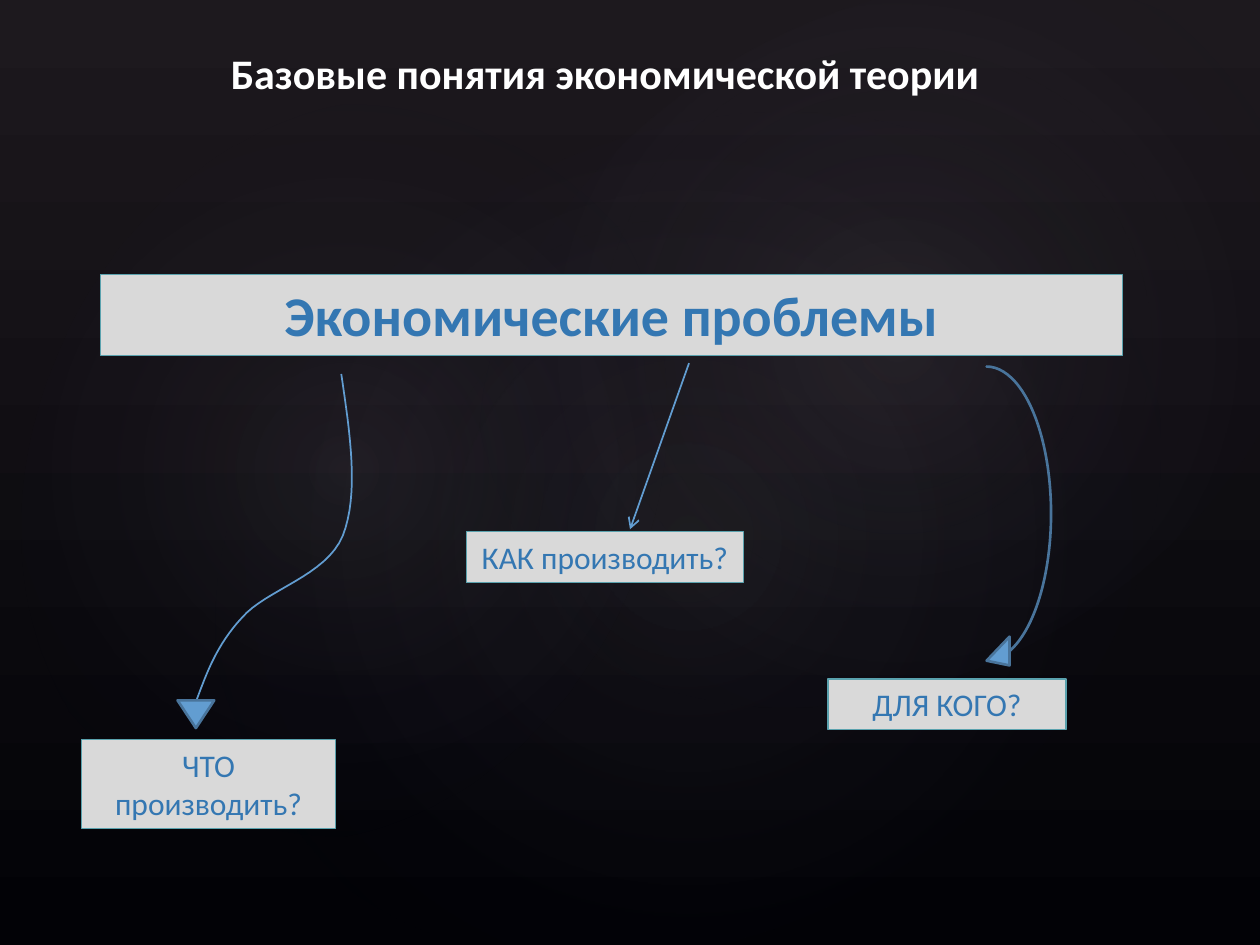
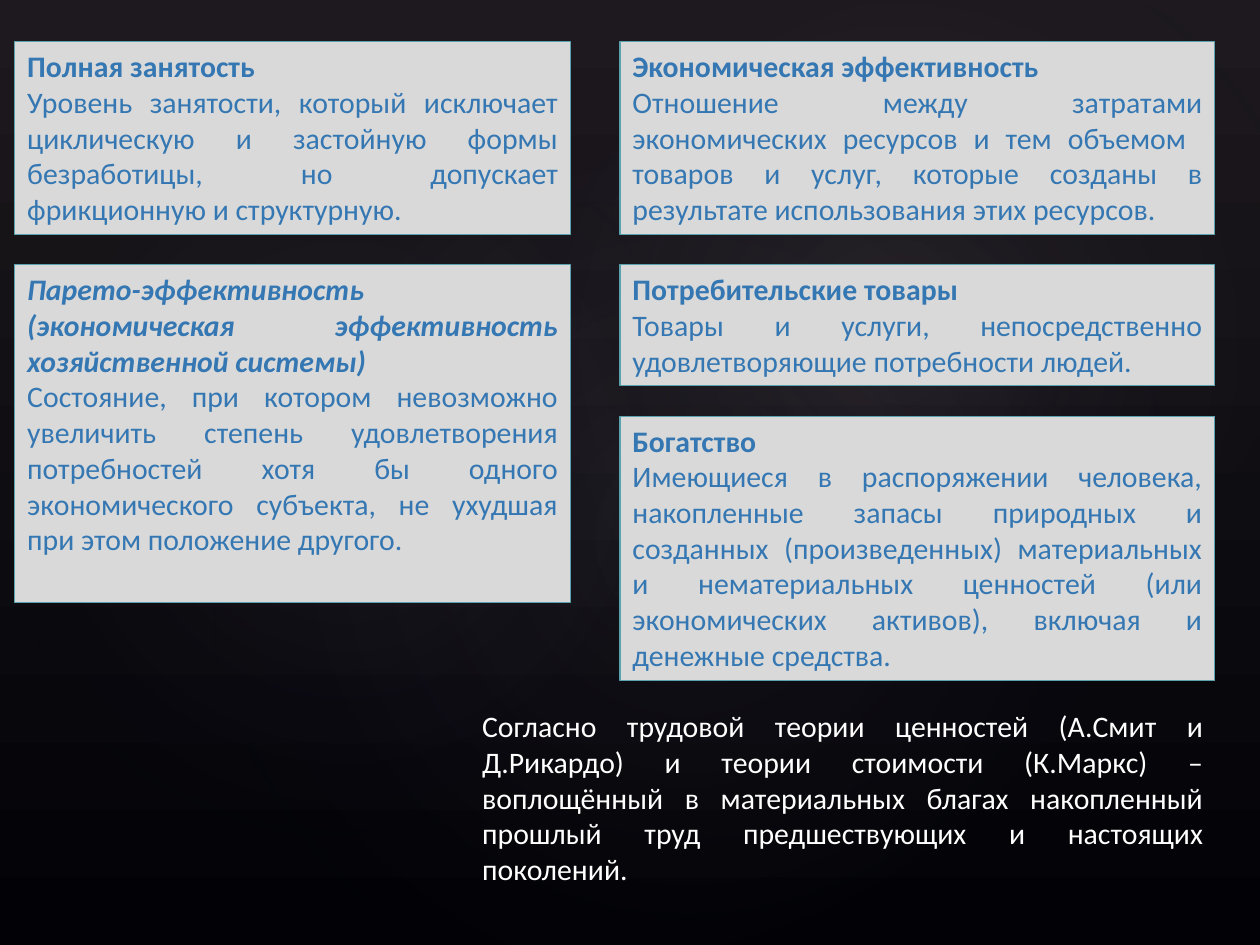
"""Build two dark slides on the basic terms of economic theory."""
from lxml.etree import SubElement
from pptx import Presentation
from pptx.dml.color import RGBColor
from pptx.enum.shapes import MSO_CONNECTOR as LINK, MSO_SHAPE as KIND
from pptx.enum.text import MSO_ANCHOR as ANCHOR, PP_ALIGN as ALIGN
from pptx.oxml import parse_xml
from pptx.oxml.ns import nsdecls, qn
from pptx.util import Cm, Pt

FONT = "Calibri"
WHITE = RGBColor(0xFF, 0xFF, 0xFF)
GREY = RGBColor(0xD9, 0xD9, 0xD9)
TEAL = RGBColor(0x5A, 0xA2, 0xAE)
INK = RGBColor(0x34, 0x77, 0xB2)
BLUE = RGBColor(0x62, 0x9D, 0xD1)
STEEL = RGBColor(0x49, 0x74, 0x9B)
DUSK = RGBColor(0x1D, 0x19, 0x1E)
NIGHT = RGBColor(0x02, 0x02, 0x06)


def add_form(slide, kind, area, fill, edge, width):
    form = slide.shapes.add_shape(kind, *map(Cm, area))
    form.shadow.inherit = False
    form.fill.solid()
    form.fill.fore_color.rgb = fill
    form.line.color.rgb = edge
    form.line.width = Pt(width)
    return form


def set_text(shape, lines, size, color, align, bold=False, italic=False):
    frame = shape.text_frame
    frame.word_wrap = True
    frame.vertical_anchor = ANCHOR.TOP
    frame.text = "\n".join(lines)
    for num, para in enumerate(frame.paragraphs):
        para.alignment = align
        font = para.runs[0].font
        font.name, font.size = FONT, Pt(size)
        font.color.rgb = color
        font.bold = bold and num == 0
        font.italic = italic and num == 0


deck = Presentation()
deck.slide_width, deck.slide_height = Cm(25.4), Cm(19.05)

master = deck.slide_master
back = master.background.fill
back.gradient()
back.gradient_angle = 270
for stop, shade in zip(back.gradient_stops, (DUSK, NIGHT)):
    stop.color.rgb = shade

first = deck.slides.add_slide(deck.slide_layouts[5])
second = deck.slides.add_slide(deck.slide_layouts[6])

glows = [
    ((3.81, 2.9, 20.12, 15.85), 328.7, 7),
    ((-0.76, 3.25, 15.39, 12.45), 294.3, 8),
    ((9.09, 0.33, 18.01, 13.21), 328.7, 8),
]
for place, (area, turn, alpha) in enumerate(glows, 2):
    glow = first.shapes.add_shape(KIND.OVAL, *map(Cm, area))
    glow.rotation = turn
    glow.shadow.inherit = False
    glow.line.fill.background()
    glow.element.spPr.find(qn("a:prstGeom")).addnext(parse_xml(
        f'<a:gradFill {nsdecls("a")}><a:gsLst>'
        f'<a:gs pos="0"><a:srgbClr val="C4BCC6"><a:alpha val="{alpha}000"/></a:srgbClr></a:gs>'
        '<a:gs pos="58000"><a:srgbClr val="242852"><a:alpha val="0"/></a:srgbClr></a:gs>'
        '</a:gsLst><a:path path="circle">'
        '<a:fillToRect l="50000" t="50000" r="50000" b="50000"/></a:path></a:gradFill>'))
    master.element.cSld.spTree.insert(place, glow.element)

title = first.shapes.title
title.left, title.top, title.width, title.height = map(Cm, (0.5, 0.84, 23.4, 1.28))
set_text(title, ["Базовые понятия экономической теории"], 24, WHITE, ALIGN.CENTER, True)

boxes = [
    ("Экономические проблемы", (2.03, 5.54, 20.6, 1.63), 32),
    ("ЧТО производить?", (1.65, 14.91, 5.11, 1.8), 18),
    ("КАК производить?", (9.4, 10.72, 5.59, 1.02), 18),
    ("ДЛЯ КОГО?", (16.69, 13.69, 4.8, 1.02), 18),
]
for text, area, size in boxes:
    box = add_form(first, KIND.RECTANGLE, area, GREY, TEAL, 0.75)
    set_text(box, [text], size, INK, ALIGN.CENTER, size == 32)

hook = add_form(first, KIND.CURVED_RIGHT_ARROW, (19.89, 7.39, 1.3, 6.22), BLUE, STEEL, 1.5)
hook.element.spPr.xfrm.set("flipH", "1")
for num, value in enumerate((0, 0.446, 0.356)):
    hook.adjustments[num] = value

bends = [
    ((6.88, 7.54), (7.06, 8.76), (7.24, 9.96), (6.91, 10.8)),
    ((6.91, 10.8), (6.58, 11.61), (5.36, 11.89), (4.88, 12.45)),
    ((4.88, 12.45), (4.37, 13), (4.17, 13.56), (3.96, 14.12)),
]
steps = 16
points = []
for bend in bends:
    for step in range(1, steps + 1):
        t = step / steps
        parts = ((1 - t) ** 3, 3 * t * (1 - t) ** 2, 3 * t * t * (1 - t), t ** 3)
        points.append([Cm(sum(p * w for p, w in zip(axis, parts))) for axis in zip(*bend)])
path = first.shapes.build_freeform(*map(Cm, bends[0][0]))
path.add_line_segments(points, close=False)
curve = path.convert_to_shape()
curve.shadow.inherit = False
curve.fill.background()

tip = add_form(first, KIND.FLOWCHART_EXTRACT, (3.58, 14.12, 0.74, 0.56), BLUE, STEEL, 1.5)
tip.element.spPr.xfrm.set("flipV", "1")

arrow = first.shapes.add_connector(LINK.STRAIGHT, *map(Cm, (13.89, 7.32, 12.7, 10.67)))
for stroke in (curve, arrow):
    stroke.line.color.rgb = BLUE
    stroke.line.width = Pt(1)
SubElement(arrow.line._get_or_add_ln(), qn("a:tailEnd"), type="arrow")
SubElement(arrow.element.spPr, qn("a:effectLst"))

top, gap = 0.84, 0.61
columns = [
    (0.3, 11.2, [
        (3.89, "Полная занятость",
         "Уровень занятости, который исключает циклическую и застойную формы безработицы, "
         "но допускает фрикционную и структурную."),
        (6.81, "Парето-эффективность (экономическая эффективность хозяйственной системы)",
         "Состояние, при котором невозможно увеличить степень удовлетворения потребностей "
         "хотя бы одного экономического субъекта, не ухудшая при этом положение другого."),
    ]),
    (12.5, 11.99, [
        (3.89, "Экономическая эффективность",
         "Отношение между затратами экономических ресурсов и тем объемом  товаров и услуг, "
         "которые созданы в результате использования этих ресурсов."),
        (2.44, "Потребительские товары",
         "Товары и услуги, непосредственно удовлетворяющие потребности людей."),
        (5.33, "Богатство",
         "Имеющиеся в распоряжении человека, накопленные запасы природных и созданных "
         "(произведенных) материальных и нематериальных ценностей (или экономических "
         "активов), включая и денежные средства."),
    ]),
]
for left, width, terms in columns:
    y = top
    for height, term, sense in terms:
        card = add_form(second, KIND.RECTANGLE, (left, y, width, height), GREY, TEAL, 0.75)
        set_text(card, [term, sense], 17, INK, ALIGN.JUSTIFY, True, term.startswith("Парето"))
        y += height + gap

note = second.shapes.add_textbox(*map(Cm, (9.47, 14.15, 15.04, 3.89)))
set_text(note, [
    "Согласно трудовой теории ценностей (А.Смит и Д.Рикардо) и теории стоимости (К.Маркс) – "
    "воплощённый в материальных благах накопленный прошлый труд предшествующих и настоящих "
    "поколений."], 17, WHITE, ALIGN.JUSTIFY)

deck.save("out.pptx")
